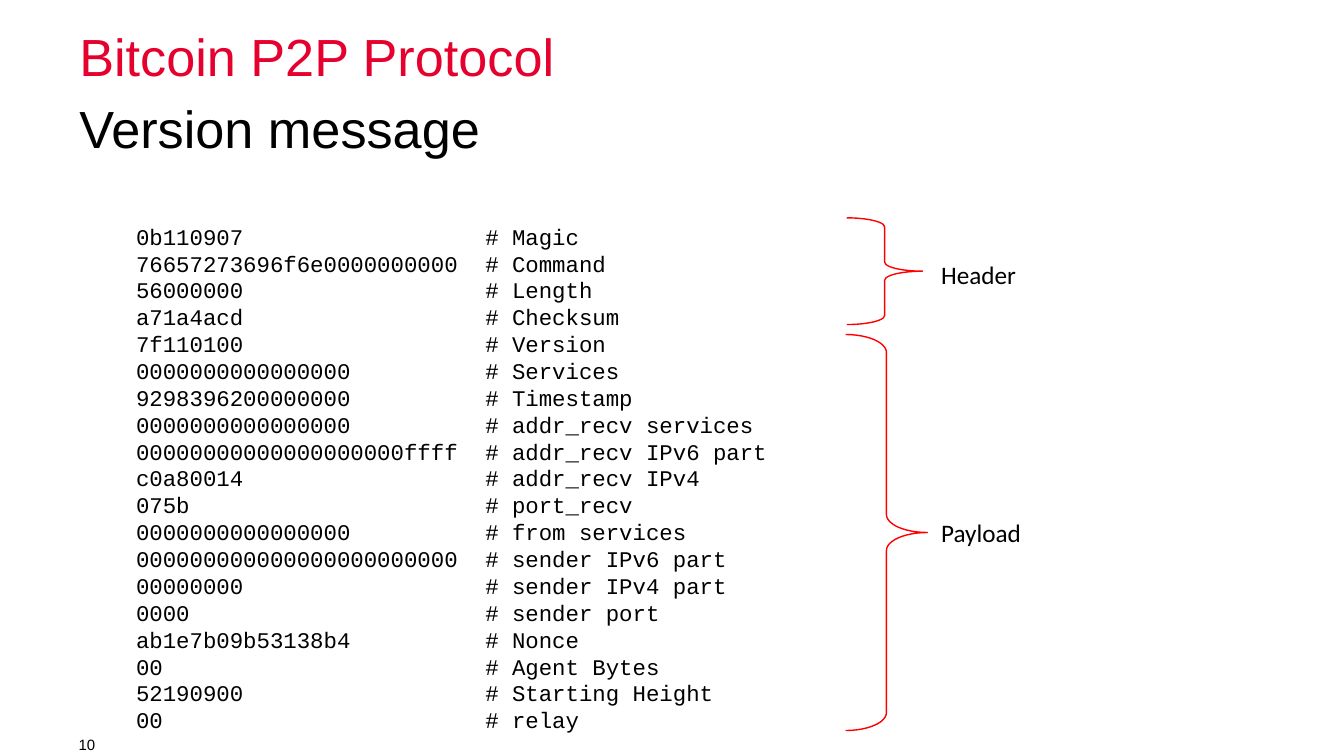
from dataclasses import dataclass

from lxml import etree
from pptx import Presentation
from pptx.dml.color import RGBColor
from pptx.enum.shapes import MSO_SHAPE
from pptx.enum.text import MSO_ANCHOR, MSO_AUTO_SIZE, PP_ALIGN
from pptx.oxml.ns import qn
from pptx.util import Cm, Pt

BRACE = MSO_SHAPE.RIGHT_BRACE
TOP, MIDDLE = MSO_ANCHOR.TOP, MSO_ANCHOR.MIDDLE
FIXED = MSO_AUTO_SIZE.NONE
LEFT = PP_ALIGN.LEFT


@dataclass(frozen=True)
class Theme:
    """Colours, fonts and type sizes of the slide."""
    ink: str = "000000"
    accent: str = "E6002E"
    brace: str = "FF0000"
    sans: str = "Arial"
    mono: str = "Courier New"
    note: str = "Calibri"
    head: float = 37.3
    head_line: float = 42.7
    code: float = 16
    code_line: float = 19.2
    label: float = 18
    page: float = 10.7


THEME = Theme()
CODE_TAB = Cm(8.8)
FIELDS = [
    ("0b110907", "Magic"),
    ("76657273696f6e0000000000", "Command"),
    ("56000000", "Length"),
    ("a71a4acd", "Checksum"),
    ("7f110100", "Version"),
    ("0000000000000000", "Services"),
    ("9298396200000000", "Timestamp"),
    ("0000000000000000", "addr_recv services"),
    ("00000000000000000000ffff", "addr_recv IPv6 part"),
    ("c0a80014", "addr_recv IPv4"),
    ("075b", "port_recv"),
    ("0000000000000000", "from services"),
    ("000000000000000000000000", "sender IPv6 part"),
    ("00000000", "sender IPv4 part"),
    ("0000", "sender port"),
    ("ab1e7b09b53138b4", "Nonce"),
    ("00", "Agent Bytes"),
    ("52190900", "Starting Height"),
    ("00", "relay"),
]


def add_run(para, text, font, size, color=THEME.ink):
    """Append one styled run to a paragraph."""
    run = para.add_run()
    run.text = text
    run.font.name = font
    run.font.size = Pt(size)
    run.font.color.rgb = RGBColor.from_string(color)


def set_frame(frame, inset=True, anchor=TOP, wrap=True):
    """Set the wrapping, anchor and insets of a text frame."""
    frame.auto_size = FIXED
    frame.word_wrap = wrap
    frame.vertical_anchor = anchor
    if not inset:
        frame.margin_left = frame.margin_right = 0
        frame.margin_top = frame.margin_bottom = 0


def fill_head(holder, text, top, color):
    """Move a placeholder and give it one plain heading line."""
    holder.left, holder.top = Cm(2), Cm(top)
    holder.width, holder.height = Cm(26), Cm(1.52)
    set_frame(holder.text_frame, inset=False)
    para = holder.text_frame.paragraphs[0]
    para.alignment = LEFT
    para.line_spacing = Pt(THEME.head_line)
    para.space_before = Pt(0)
    props = para._p.get_or_add_pPr()
    props.set("marL", "0")
    props.set("indent", "0")
    etree.SubElement(props, qn("a:buNone"))
    add_run(para, text, THEME.sans, THEME.head, color)


def add_box(slide, left, top, width, height, **frame):
    """Add a text box and return its text frame."""
    box = slide.shapes.add_textbox(Cm(left), Cm(top), Cm(width), Cm(height))
    set_frame(box.text_frame, **frame)
    return box.text_frame


def add_code(slide):
    """List each message field with its comment at a tab stop."""
    frame = add_box(slide, 3.18, 5.49, 16.97, 13.51)
    for row, (value, name) in enumerate(FIELDS):
        para = frame.add_paragraph() if row else frame.paragraphs[0]
        para.line_spacing = Pt(THEME.code_line)
        tabs = etree.SubElement(para._p.get_or_add_pPr(), qn("a:tabLst"))
        etree.SubElement(tabs, qn("a:tab"), pos=str(CODE_TAB), algn="l")
        add_run(para, f"{value}\t# {name}", THEME.mono, THEME.code)


def add_brace(slide, left, top, width, height, bend):
    """Draw a right brace beside a group of fields."""
    brace = slide.shapes.add_shape(
        BRACE, Cm(left), Cm(top), Cm(width), Cm(height))
    brace.adjustments[0] = bend
    brace.adjustments[1] = 0.5
    brace.shadow.inherit = False
    brace.fill.background()
    brace.line.color.rgb = RGBColor.from_string(THEME.brace)
    brace.line.width = Pt(1)


def add_label(slide, text, top, width):
    """Name a brace on its right side."""
    frame = add_box(slide, 23.47, top, width, 1.02, wrap=False)
    add_run(frame.paragraphs[0], text, THEME.note, THEME.label)


def add_page(slide, text):
    """Put the page number at the foot."""
    frame = add_box(slide, 1.98, 18.47, 5.33, 0.58,
                    inset=False, anchor=MIDDLE)
    add_run(frame.paragraphs[0], text, THEME.sans, THEME.page)


def main():
    """Build and save the slide."""
    deck = Presentation()
    deck.slide_width, deck.slide_height = Cm(33.87), Cm(19.05)
    slide = deck.slides.add_slide(deck.slide_layouts[1])
    fill_head(slide.shapes.title, "Bitcoin P2P Protocol", 0.69, THEME.accent)
    fill_head(slide.placeholders[1], "Version message", 2.51, THEME.ink)
    add_code(slide)
    add_brace(slide, 21.34, 5.49, 1.91, 2.69, 0.12)
    add_brace(slide, 21.31, 8.43, 2.06, 9.98, 0.22)
    add_label(slide, "Header", 6.4, 2.41)
    add_label(slide, "Payload", 12.9, 2.54)
    add_page(slide, "10")
    deck.save("out.pptx")


if __name__ == "__main__":
    main()
